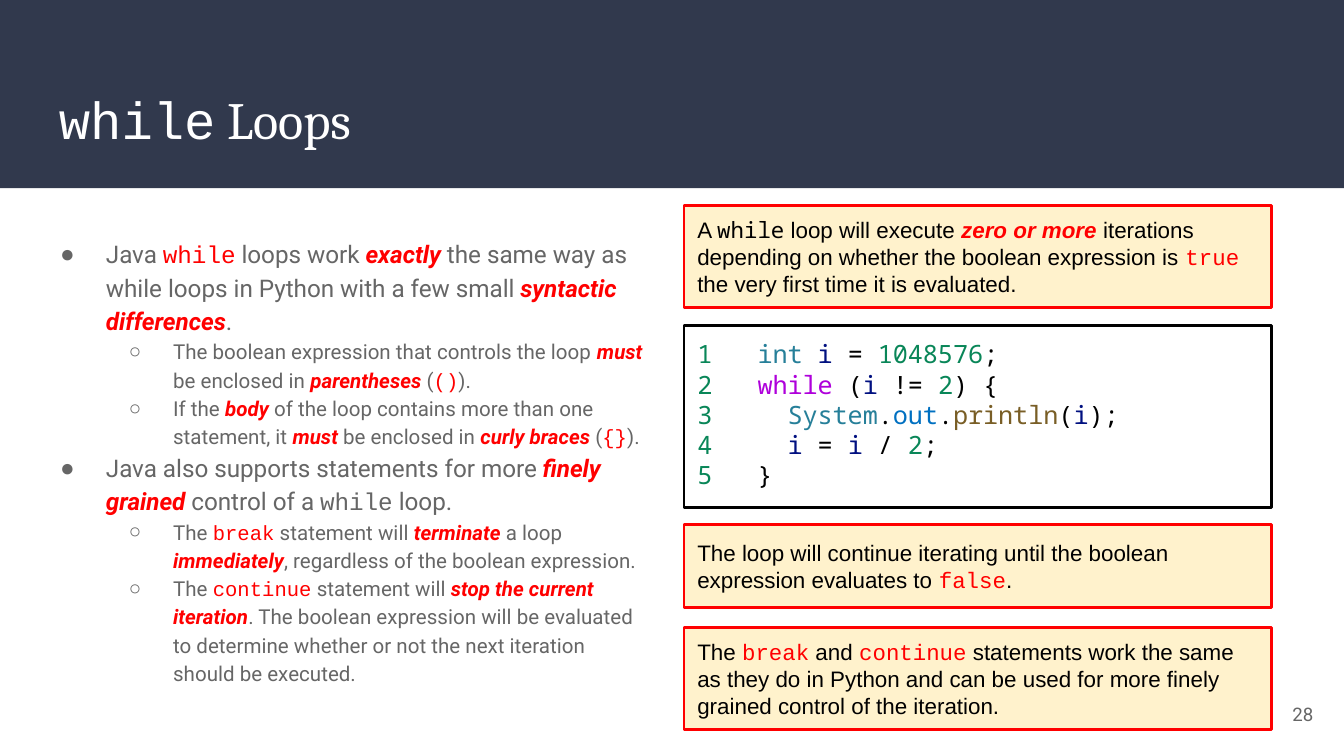
from lxml import etree
from pptx import Presentation
from pptx.dml.color import RGBColor
from pptx.enum.shapes import MSO_SHAPE
from pptx.enum.text import MSO_ANCHOR, PP_ALIGN
from pptx.oxml.ns import qn
from pptx.util import Inches, Pt

RECTANGLE = MSO_SHAPE.RECTANGLE
TOP, MIDDLE = MSO_ANCHOR.TOP, MSO_ANCHOR.MIDDLE
LEFT, RIGHT = PP_ALIGN.LEFT, PP_ALIGN.RIGHT

NAVY = RGBColor(0x31, 0x39, 0x4D)
WHITE = RGBColor(0xFF, 0xFF, 0xFF)
BLACK = RGBColor(0, 0, 0)
GRAY = RGBColor(0x66, 0x66, 0x66)
RED = RGBColor(0xFF, 0, 0)
CREAM = RGBColor(0xFF, 0xF2, 0xCC)
GREEN = RGBColor(0x09, 0x86, 0x58)
TEAL = RGBColor(0x26, 0x7F, 0x99)
DARK_BLUE = RGBColor(0, 0x10, 0x80)
BLUE = RGBColor(0, 0x70, 0xC1)
PURPLE = RGBColor(0xAF, 0, 0xDB)
BROWN = RGBColor(0x79, 0x5E, 0x26)

SERIF, SANS, BODY = "Cambria", "Arial", "Roboto"
MONO, CODE = "Courier New", "Noto Sans Mono"

STYLES = {
    "title": (SERIF, WHITE, False),
    "title code": (MONO, WHITE, False),
    "body": (BODY, GRAY, False),
    "strong": (BODY, RED, True),
    "keyword": (MONO, RED, False),
    "gray code": (MONO, GRAY, False),
    "note": (SANS, BLACK, False),
    "note strong": (SANS, RED, True),
    "number": (CODE, GREEN, False),
    "type": (CODE, TEAL, False),
    "variable": (CODE, DARK_BLUE, False),
    "plain": (CODE, BLACK, False),
    "control": (CODE, PURPLE, False),
    "field": (CODE, BLUE, False),
    "method": (CODE, BROWN, False),
}

TITLE = [("title code", "while"), ("title", " Loops")]
PAGE_NUMBER = [("body", "28")]

BULLETS = [
    (0, [("body", "Java "), ("keyword", "while"), ("body", " loops work "),
         ("strong", "exactly "),
         ("body", "the same way as while loops in Python with a few small "),
         ("strong", "syntactic differences"), ("body", ".")]),
    (1, [("body", "The boolean expression that controls the loop "),
         ("strong", "must "), ("body", "be enclosed in "),
         ("strong", "parentheses "), ("body", "("), ("keyword", "()"), ("body", ").")]),
    (1, [("body", "If the "), ("strong", "body "),
         ("body", "of the loop contains more than one statement, it "),
         ("strong", "must "), ("body", "be enclosed in "),
         ("strong", "curly braces "), ("body", "("), ("keyword", "{}"), ("body", ").")]),
    (0, [("body", "Java also supports statements for more "),
         ("strong", "finely grained"), ("body", " control of a "),
         ("gray code", "while"), ("body", " loop.")]),
    (1, [("body", "The "), ("keyword", "break"), ("body", " statement will "),
         ("strong", "terminate "), ("body", "a loop "), ("strong", "immediately"),
         ("body", ", regardless of the boolean expression.")]),
    (1, [("body", "The "), ("keyword", "continue"), ("body", " statement will "),
         ("strong", "stop the current iteration"),
         ("body", ". The boolean expression will be evaluated to determine "
                  "whether or not the next iteration should be executed.")]),
]
LEVELS = [
    {"mark": "●", "size": 13, "margin": 0.5, "indent": -0.34},
    {"mark": "○", "size": 11, "margin": 1, "indent": -0.33},
]

CODE_LINES = [
    [("number", "1   "), ("type", "int "), ("variable", "i"), ("plain", " = "),
     ("number", "1048576"), ("plain", ";")],
    [("number", "2   "), ("control", "while "), ("plain", "("), ("variable", "i"),
     ("plain", " != "), ("number", "2"), ("plain", ") {")],
    [("number", "3     "), ("type", "System"), ("plain", "."), ("field", "out"),
     ("plain", "."), ("method", "println"), ("plain", "("), ("variable", "i"),
     ("plain", ");")],
    [("number", "4     "), ("variable", "i"), ("plain", " = "), ("variable", "i"),
     ("plain", " / "), ("number", "2"), ("plain", ";")],
    [("number", "5"), ("plain", "   }")],
]

NOTES = [
    (1.53, 0.76, [("note", "A "), ("plain", "while"), ("note", " loop will execute "),
                  ("note strong", "zero or more"),
                  ("note", " iterations depending on whether the boolean expression is "),
                  ("keyword", "true"),
                  ("note", " the very first time it is evaluated.")]),
    (3.9, 0.62, [("note", "The loop will continue iterating until the boolean "
                          "expression evaluates to "),
                 ("keyword", "false"), ("note", ".")]),
    (4.67, 0.76, [("note", "The "), ("keyword", "break"), ("note", " and "),
                  ("keyword", "continue"),
                  ("note", " statements work the same as they do in Python and can be "
                           "used for more finely grained control of the iteration.")]),
]
PANEL_LEFT, PANEL_WIDTH = 5.09, 4.37


def add_panel(page, left, top, width, height, fill, line=None):
    panel = page.shapes.add_shape(
        RECTANGLE, Inches(left), Inches(top), Inches(width), Inches(height))
    panel.shadow.inherit = False
    panel.fill.solid()
    panel.fill.fore_color.rgb = fill
    if line is None:
        panel.line.fill.background()
    else:
        panel.line.color.rgb = line
        panel.line.width = Pt(1.5)
    return panel


def add_text_box(page, left, top, width, height):
    return page.shapes.add_textbox(
        Inches(left), Inches(top), Inches(width), Inches(height))


def write(box, lines, sizes, anchor=TOP, align=LEFT):
    frame = box.text_frame
    frame.word_wrap = True
    frame.vertical_anchor = anchor
    frame.margin_left = frame.margin_right = Inches(0.1)
    frame.margin_top = frame.margin_bottom = Inches(0.1)
    for index, (line, size) in enumerate(zip(lines, sizes)):
        para = frame.add_paragraph() if index else frame.paragraphs[0]
        para.alignment = align
        for style, text in line:
            span = para.add_run()
            span.text = text
            font = span.font
            font.size = Pt(size)
            font.name, font.color.rgb, font.bold = STYLES[style]
            font.italic = font.bold


def add_bullet(para, mark, margin, indent):
    properties = para._p.get_or_add_pPr()
    properties.set("marL", str(Inches(margin)))
    properties.set("indent", str(Inches(indent)))
    color = etree.SubElement(properties, qn("a:buClr"))
    etree.SubElement(color, qn("a:srgbClr"), val=str(GRAY))
    etree.SubElement(properties, qn("a:buFont"), typeface=SANS)
    etree.SubElement(properties, qn("a:buChar"), char=mark)
    para.line_spacing = 1.15


def main():
    deck = Presentation()
    deck.slide_width = Inches(10)
    deck.slide_height = deck.slide_width * 9 // 16
    page = deck.slides.add_slide(deck.slide_layouts[6])

    add_panel(page, 0, 0, 10, 1.4, NAVY)

    body = add_text_box(page, 0.19, 1.65, 4.73, 3.56)
    write(body, [line for _, line in BULLETS],
          [LEVELS[level]["size"] for level, _ in BULLETS])
    for para, (level, _) in zip(body.text_frame.paragraphs, BULLETS):
        look = LEVELS[level]
        para.level = level
        add_bullet(para, look["mark"], look["margin"], look["indent"])

    write(add_text_box(page, 0.34, 0.55, 9.32, 0.68), [TITLE], [28])
    write(add_text_box(page, 9.27, 5.1, 0.6, 0.43), [PAGE_NUMBER], [10], MIDDLE, RIGHT)

    code = add_panel(page, PANEL_LEFT, 2.42, PANEL_WIDTH, 1.36, WHITE, BLACK)
    write(code, CODE_LINES, [13.5] * len(CODE_LINES))

    for top, height, line in NOTES:
        note = add_panel(page, PANEL_LEFT, top, PANEL_WIDTH, height, CREAM, RED)
        write(note, [line], [12], MIDDLE)

    deck.save("out.pptx")


if __name__ == "__main__":
    main()
